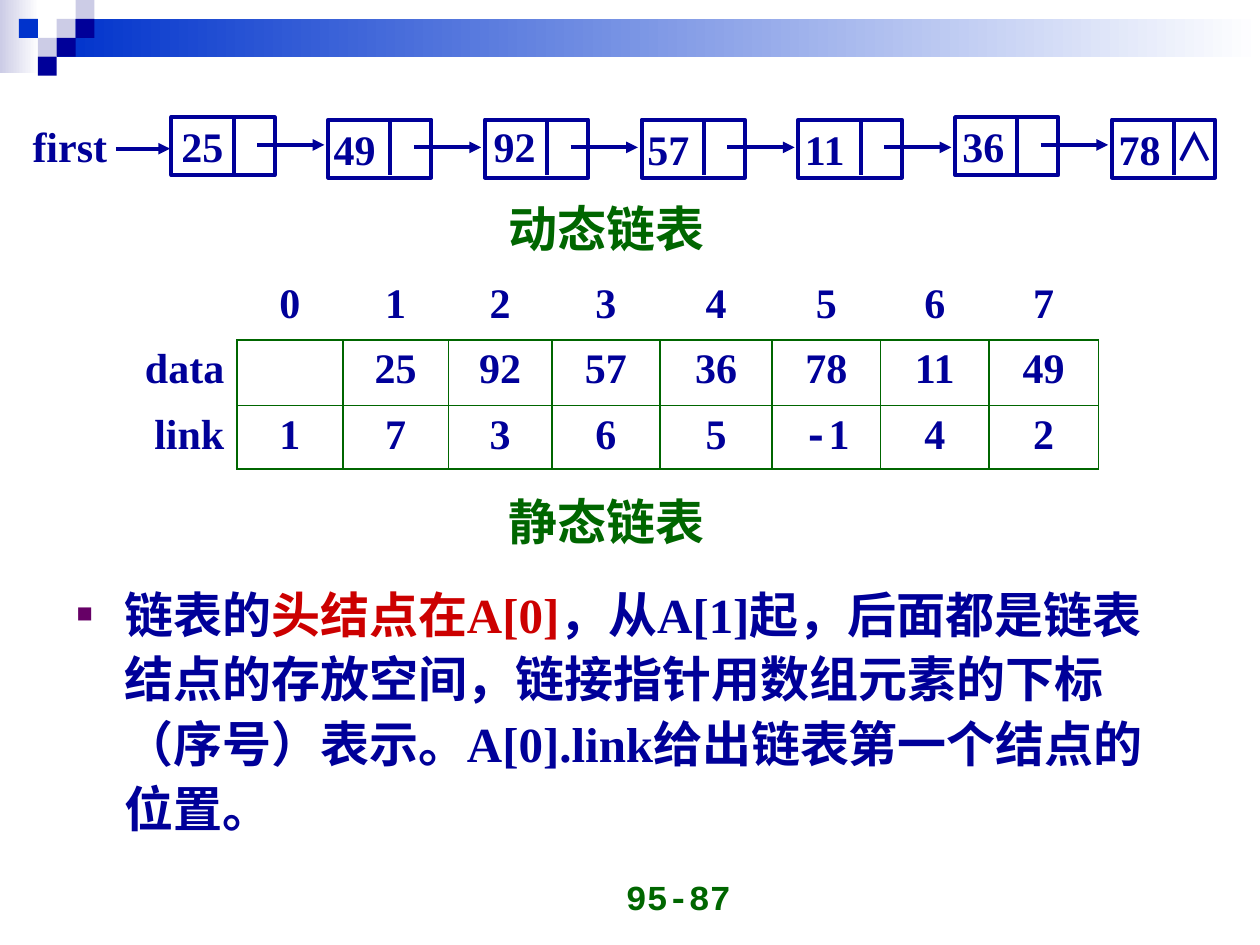
from lxml import etree
from pptx import Presentation
from pptx.dml.color import RGBColor
from pptx.enum.shapes import MSO_CONNECTOR, MSO_SHAPE
from pptx.enum.text import MSO_ANCHOR, PP_ALIGN
from pptx.oxml.ns import qn
from pptx.util import Inches, Pt

RECT, LINE = MSO_SHAPE.RECTANGLE, MSO_CONNECTOR.STRAIGHT
LEFT, MID, RIGHT = PP_ALIGN.LEFT, PP_ALIGN.CENTER, PP_ALIGN.RIGHT
ROMAN, SANS, MONO, HAN = "Times New Roman", "Arial", "Courier New", "Noto Sans CJK SC"
HEX = {"navy": "000099", "blue": "0033CC", "pale": "CCCCE6", "white": "FFFFFF",
       "green": "006600", "red": "CC0000", "plum": "660066"}
INK = {name: RGBColor.from_string(code) for name, code in HEX.items()}

deck = Presentation()
deck.slide_width, deck.slide_height = Inches(10), Inches(7.5)
slide = deck.slides.add_slide(deck.slide_layouts[6])
shapes = slide.shapes
UNIT = deck.slide_width / 100  # the slide is a grid of 100 columns by 75 rows


def grid(*spans):
    """Turn grid columns and rows into slide lengths."""
    return [round(span * UNIT) for span in spans]


def style(para, size, face, ink, align=LEFT):
    para.alignment = align
    font = para.font
    font.size, font.name, font.bold = Pt(size), face, True
    font.color.rgb = INK[ink]
    etree.SubElement(font.fill._xPr, qn("a:ea"), typeface=HAN)


# Banner: two fading bars, then a mosaic of squares
for box, ink in (((0, 0, 3.1, 5.8), "pale"), ((4.5, 1.5, 95.5, 3), "blue")):
    bar = shapes.add_shape(RECT, *grid(*box))
    bar.shadow.inherit = False
    bar.line.fill.background()
    bar.fill.gradient()
    bar.fill.gradient_angle = 0
    for stop, tone in zip(bar.fill.gradient_stops, (ink, "white")):
        stop.color.rgb = INK[tone]

TILE = 1.5
for col, row, ink in ((3, 1, "pale"), (4, 0, "pale"), (4, 1, "navy"), (2, 2, "pale"),
                      (1, 1, "blue"), (3, 2, "navy"), (2, 3, "navy")):
    tile = shapes.add_shape(RECT, *grid(col * TILE, row * TILE, TILE, TILE))
    tile.shadow.inherit = False
    tile.line.fill.background()
    tile.fill.solid()
    tile.fill.fore_color.rgb = INK[ink]

# Linked list: value, top of its box, left and top of its number
nodes = (("25", 9.3, 13.4, 9.1), ("49", 9.5, 25.5, 9.3), ("92", 9.5, 38.2, 9.1),
         ("57", 9.5, 50.4, 9.3), ("11", 9.5, 62.9, 9.3), ("36", 9.3, 75.4, 9.1),
         ("78", 9.5, 87.8, 9.3))
STEP = 12.44
lines = [(9.2, 11.8, 13.5, 11.8, True)]
for i, (value, top, *_) in enumerate(nodes):
    left = 13.6 + i * STEP
    box = shapes.add_shape(RECT, *grid(left, top, 8.2, 4.6))
    box.shadow.inherit = False
    box.fill.solid()
    box.fill.fore_color.rgb = INK["white"]
    box.line.color.rgb = INK["navy"]
    box.line.width = Pt(2.25)
    lines.append((left + 4.95, top, left + 4.95, top + 4.4, False))
    if i < len(nodes) - 1:
        lines.append((left + 6.8, top + 2.2, left + 12.15, top + 2.2, True))

for *ends, arrow in lines:
    line = shapes.add_connector(LINE, *grid(*ends))
    line.line.color.rgb = INK["navy"]
    line.line.width = Pt(2.25)
    if arrow:
        etree.SubElement(line.line._get_or_add_ln(), qn("a:tailEnd"), type="triangle")
    etree.SubElement(line._element.spPr, qn("a:effectLst"))

# Labels: text, box, size, font, colour, alignment
labels = [(value, (left, top, 5.5, 5.7), 24, ROMAN, "navy", LEFT)
          for value, _, left, top in nodes]
labels += [("∧", (92.3, 9.3, 5.3, 5.2), 22, HAN, "navy", LEFT),
           ("first", (1.6, 9.1, 8.2, 5.2), 24, ROMAN, "navy", LEFT),
           ("动态链表", (39.4, 15.3, 20.5, 5.7), 28, SANS, "green", LEFT),
           ("静态链表", (39.4, 38.5, 20.9, 5.7), 28, SANS, "green", LEFT),
           ("95-87", (35.7, 68.3, 23.3, 5), 20, MONO, "green", RIGHT)]
for text, box, size, face, ink, align in labels:
    frame = shapes.add_textbox(*grid(*box)).text_frame
    frame.word_wrap = True
    frame.text = text
    style(frame.paragraphs[0], size, face, ink, align)
frame.vertical_anchor = MSO_ANCHOR.BOTTOM  # the page number sits low

# Static list as a table
rows = (("", *"01234567"),
        ("data", "", "25", "92", "57", "36", "78", "11", "49"),
        ("link", "1", "7", "3", "6", "5", "-1", "4", "2"))
wide = (9.6, 8.4, 8.4, 8.2, 8.6, 8.9, 8.6, 8.6, 8.7)
high = (5.2, 5.2, 5)
holder = shapes.add_table(len(rows), len(wide), *grid(9.2, 21.8, sum(wide), sum(high)))
table = holder.table
table.first_row = table.horz_banding = False
for col, span in zip(table.columns, grid(*wide)):
    col.width = span
for row, span in zip(table.rows, grid(*high)):
    row.height = span
for r, row in enumerate(rows):
    for c, text in enumerate(row):
        cell = table.cell(r, c)
        edges = "LRTB" if r and c else "R" if r else "B" if c else ""
        props = cell._tc.get_or_add_tcPr()
        for side in "LRTB":
            edge = etree.SubElement(props, qn("a:ln" + side), w=str(Pt(1.08)))
            if side in edges:
                fill = etree.SubElement(edge, qn("a:solidFill"))
                etree.SubElement(fill, qn("a:srgbClr"), val=HEX["green"])
            else:
                etree.SubElement(edge, qn("a:noFill"))
        cell.fill.background()
        para = cell.text_frame.paragraphs[0]
        if text.startswith("-"):
            dash = para.add_run()
            dash.text, dash.font.name = "-", MONO
        para.add_run().text = text.lstrip("-")
        style(para, 24, ROMAN, "navy", MID if c else RIGHT)

# Bulleted note
frame = shapes.add_textbox(*grid(5.1, 45.4, 90, 24.4)).text_frame
frame.word_wrap = True
note = frame.paragraphs[0]
note.line_spacing = 1.1
props = note._p.get_or_add_pPr()
props.set("marL", str(Inches(0.38)))
props.set("indent", str(-Inches(0.38)))
tint = etree.SubElement(props, qn("a:buClr"))
etree.SubElement(tint, qn("a:srgbClr"), val=HEX["plum"])
etree.SubElement(props, qn("a:buSzPct"), val="55000")
etree.SubElement(props, qn("a:buFont"), typeface=SANS)
etree.SubElement(props, qn("a:buChar"), char="■")
for text, ink in (("链表的", "navy"), ("头结点在A[0]", "red"),
                  ("，从A[1]起，后面都是链表结点的存放空间，链接指针用数组元素的下标"
                   "（序号）表示。A[0].link给出链表第一个结点的位置。", "navy")):
    run = note.add_run()
    run.text = text
    run.font.color.rgb = INK[ink]
style(note, 28, ROMAN, "navy")

deck.save("out.pptx")
